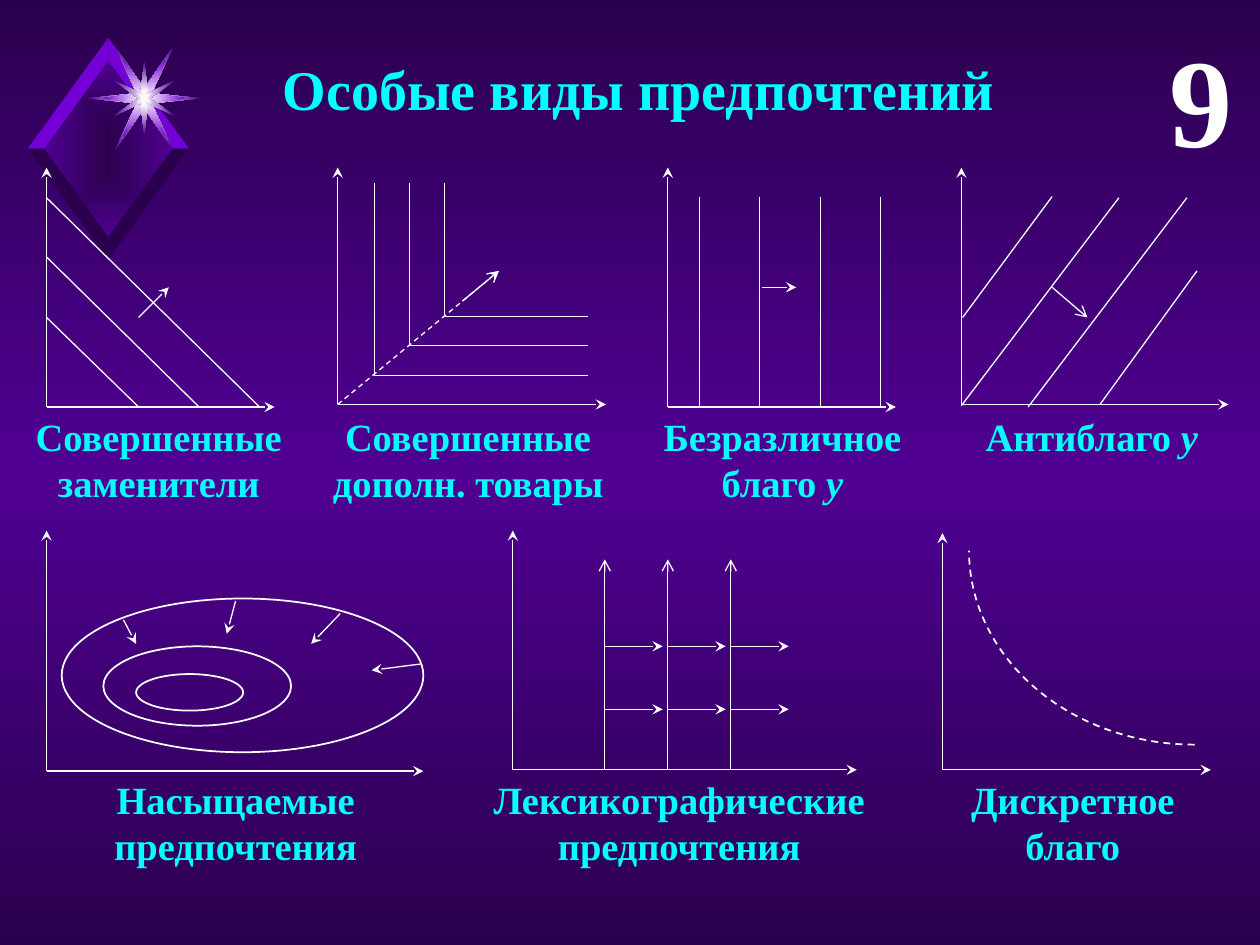
from lxml import etree
from pptx import Presentation
from pptx.dml.color import RGBColor
from pptx.enum.dml import MSO_LINE_DASH_STYLE as Dash
from pptx.enum.shapes import MSO_CONNECTOR as Connector, MSO_SHAPE as Shape
from pptx.enum.text import MSO_AUTO_SIZE as AutoSize, PP_ALIGN as Align
from pptx.oxml.ns import qn
from pptx.util import Inches, Pt

FONT = "Times New Roman"
WHITE = RGBColor(0xFF, 0xFF, 0xFF)
SPARK = RGBColor(0xF9, 0xF9, 0xF9)
CYAN = RGBColor(0x00, 0xFF, 0xFF)
NIGHT = RGBColor(0x2A, 0x00, 0x4E)
PURPLE = RGBColor(0x50, 0x00, 0x93)
VIOLET = RGBColor(0x75, 0x00, 0xD7)


def set_gradient(fill, parent, colors, from_center=False):
    """Spread the colors evenly, downwards or outwards from the centre."""
    fill.gradient()
    gradient = parent.find(".//" + qn("a:gradFill"))
    for child in list(gradient):
        gradient.remove(child)
    stops = etree.SubElement(gradient, qn("a:gsLst"))
    for i, color in enumerate(colors):
        position = str(100000 * i // (len(colors) - 1))
        stop = etree.SubElement(stops, qn("a:gs"), pos=position)
        etree.SubElement(stop, qn("a:srgbClr"), val=str(color))
    if from_center:
        path = etree.SubElement(gradient, qn("a:path"), path="rect")
        sides = dict.fromkeys("ltrb", "50000")
        etree.SubElement(path, qn("a:fillToRect"), **sides)
    else:
        etree.SubElement(gradient, qn("a:lin"), ang="5400000", scaled="1")


def add_polygon(slide, points, *colors):
    (first, *rest) = [(Inches(x), Inches(y)) for x, y in points]
    builder = slide.shapes.build_freeform(*first)
    builder.add_line_segments(rest, close=True)
    polygon = builder.convert_to_shape()
    polygon.shadow.inherit = False
    polygon.line.fill.background()
    if len(colors) == 1:
        polygon.fill.solid()
        polygon.fill.fore_color.rgb = colors[0]
    else:
        set_gradient(polygon.fill, polygon._element.spPr, colors, from_center=True)


def add_star(slide, quarter, *colors):
    """Mirror a quarter outline, listed from the x axis to the y axis."""
    cx, cy = 1.145, 0.78
    outline = (quarter
               + [(-x, y) for x, y in reversed(quarter[:-1])]
               + [(-x, -y) for x, y in quarter[1:]]
               + [(x, -y) for x, y in reversed(quarter[1:-1])])
    add_polygon(slide, [(cx + x, cy + y) for x, y in outline], *colors)


def add_ornament(slide):
    cx, cy = 0.86, 1.18
    add_polygon(slide, [(cx, cy - 0.71), (cx - 0.52, cy), (cx, cy + 0.71), (cx + 0.52, cy)],
                NIGHT, PURPLE)
    for up, color in ((-1, VIOLET), (1, NIGHT)):
        for side in (1, -1):
            add_polygon(slide, [(cx, cy + up * 0.7), (cx, cy + up * 0.88),
                                (cx + side * 0.64, cy), (cx + side * 0.51, cy)], color)
    add_star(slide, [(0.45, 0), (0.06, 0.04), (0.23, 0.41), (0, 0.08)], WHITE, PURPLE)
    add_star(slide, [(0.33, 0), (0.06, 0.04), (0.17, 0.31), (0, 0.08)], WHITE, VIOLET)
    add_star(slide, [(0.05, 0), (0.24, 0.14), (0.03, 0.04), (0, 0.29)], WHITE, PURPLE)
    add_star(slide, [(0.02, 0), (0.06, 0.04), (0.01, 0.02), (0, 0.07)], SPARK)


def add_line(slide, x1, y1, x2, y2, arrow=None, dash=None):
    line = slide.shapes.add_connector(Connector.STRAIGHT, *map(Inches, (x1, y1, x2, y2)))
    line.line.color.rgb = WHITE
    line.line.width = Pt(0.75)
    if dash:
        line.line.dash_style = dash
    if arrow:
        etree.SubElement(line.line._get_or_add_ln(), qn("a:tailEnd"), type=arrow)
    etree.SubElement(line._element.spPr, qn("a:effectLst"))


def add_axes(slide, x, y, top, right):
    add_line(slide, x, y, x, top, "stealth")
    add_line(slide, x, y, right, y, "stealth")


def add_curve(slide, kind, left, top, width, height):
    curve = slide.shapes.add_shape(kind, *map(Inches, (left, top, width, height)))
    curve.shadow.inherit = False
    curve.fill.background()
    curve.line.color.rgb = WHITE
    curve.line.width = Pt(1)
    return curve


def add_text(slide, left, top, width, height, lines, size=22, color=CYAN, align=Align.CENTER):
    """Each line is a string, or a pair of upright and italic text."""
    box = slide.shapes.add_textbox(*map(Inches, (left, top, width, height)))
    frame = box.text_frame
    frame.word_wrap = True
    frame.auto_size = AutoSize.SHAPE_TO_FIT_TEXT
    for i, line in enumerate(lines):
        paragraph = frame.add_paragraph() if i else frame.paragraphs[0]
        paragraph.alignment = align
        paragraph.font.name = FONT
        paragraph.font.size = Pt(size)
        paragraph.font.bold = True
        paragraph.font.color.rgb = color
        upright, *italic = (line,) if isinstance(line, str) else line
        paragraph.add_run().text = upright
        for text in italic:
            run = paragraph.add_run()
            run.text = text
            run.font.italic = True


def draw_substitutes(slide):
    add_axes(slide, 0.37, 3.23, 1.33, 2.18)
    for top, right in ((1.57, 2.06), (2.04, 1.58), (2.52, 1.1)):
        add_line(slide, 0.37, top, right, 3.23)
    add_line(slide, 1.1, 2.52, 1.34, 2.28, "stealth")
    add_text(slide, 0.09, 3.23, 2.34, 0.84, ["Совершенные", "заменители"])


def draw_complements(slide):
    add_axes(slide, 2.68, 3.21, 1.33, 4.81)
    for x, y in ((2.97, 2.98), (3.25, 2.74), (3.53, 2.51)):
        add_line(slide, x, 1.45, x, y)
        add_line(slide, x, y, 4.67, y)
    add_line(slide, 3.67, 2.39, 3.96, 2.15, "arrow")
    add_line(slide, 2.68, 3.21, 3.96, 2.15, "stealth", Dash.DASH)
    add_text(slide, 2.45, 3.23, 2.53, 0.84, ["Совершенные", "дополн. товары"])


def draw_neutral_good(slide):
    add_axes(slide, 5.3, 3.23, 1.33, 7.11)
    for i in range(4):
        x = 5.55 + 0.48 * i
        add_line(slide, x, 1.56, x, 3.23)
    add_line(slide, 6.05, 2.28, 6.32, 2.28, "stealth")
    add_text(slide, 5.04, 3.23, 2.34, 0.84, ["Безразличное", ("благо ", "у")])


def draw_bad(slide):
    add_axes(slide, 7.63, 3.21, 1.33, 9.75)
    for ends in ((7.64, 2.52, 8.35, 1.56), (7.63, 3.22, 8.88, 1.57),
                 (8.16, 3.23, 9.42, 1.57), (8.73, 3.21, 9.5, 2.15)):
        add_line(slide, *ends)
    add_line(slide, 8.35, 2.28, 8.63, 2.52, "arrow")
    add_text(slide, 7.4, 3.23, 2.53, 0.47, [("Антиблаго ", "у")])


def draw_satiation(slide):
    add_axes(slide, 0.37, 6.12, 4.21, 3.36)
    for ends in ((2.7, 4.87, 2.47, 5.11), (1.87, 4.77, 1.8, 5.03),
                 (0.98, 4.92, 1.08, 5.11), (3.34, 5.27, 2.95, 5.32)):
        add_line(slide, *ends, "stealth")
    for place in ((0.49, 4.75, 2.87, 1.22), (0.82, 5.13, 1.49, 0.63), (1.08, 5.35, 0.85, 0.29)):
        add_curve(slide, Shape.OVAL, *place)
    add_text(slide, 0.7, 6.11, 2.34, 0.84, ["Насыщаемые", "предпочтения"])


def draw_lexicographic(slide):
    add_axes(slide, 4.07, 6.11, 4.21, 6.8)
    for x in (4.8, 5.3, 5.8):
        add_line(slide, x, 6.11, x, 4.44, "arrow")
        for y in (5.13, 5.63):
            add_line(slide, x, y, x + 0.46, y, "stealth")
    add_text(slide, 3.78, 6.11, 3.22, 0.84, ["Лексикографические", "предпочтения"])


def draw_discrete_good(slide):
    add_axes(slide, 7.48, 6.11, 4.23, 9.61)
    curve = add_curve(slide, Shape.ARC, 7.69, 2.83, 3.58, 3.08)
    curve.line.dash_style = Dash.DASH
    curve.rotation = 180
    add_text(slide, 7.25, 6.11, 2.53, 0.84, ["Дискретное", "благо"])


def main():
    deck = Presentation()
    deck.slide_width, deck.slide_height = Inches(10), Inches(7.5)
    slide = deck.slides.add_slide(deck.slide_layouts[6])
    set_gradient(slide.background.fill, slide._element, (NIGHT, PURPLE, NIGHT))
    add_ornament(slide)
    add_text(slide, 0.26, 0.38, 9.62, 0.64, ["Особые виды предпочтений"], 32)
    add_text(slide, 8.63, 0.12, 1.25, 1.31, ["9"], 72, WHITE, Align.RIGHT)
    for draw_panel in (draw_substitutes, draw_complements, draw_neutral_good, draw_bad,
                       draw_satiation, draw_lexicographic, draw_discrete_good):
        draw_panel(slide)
    deck.save("out.pptx")


if __name__ == "__main__":
    main()
